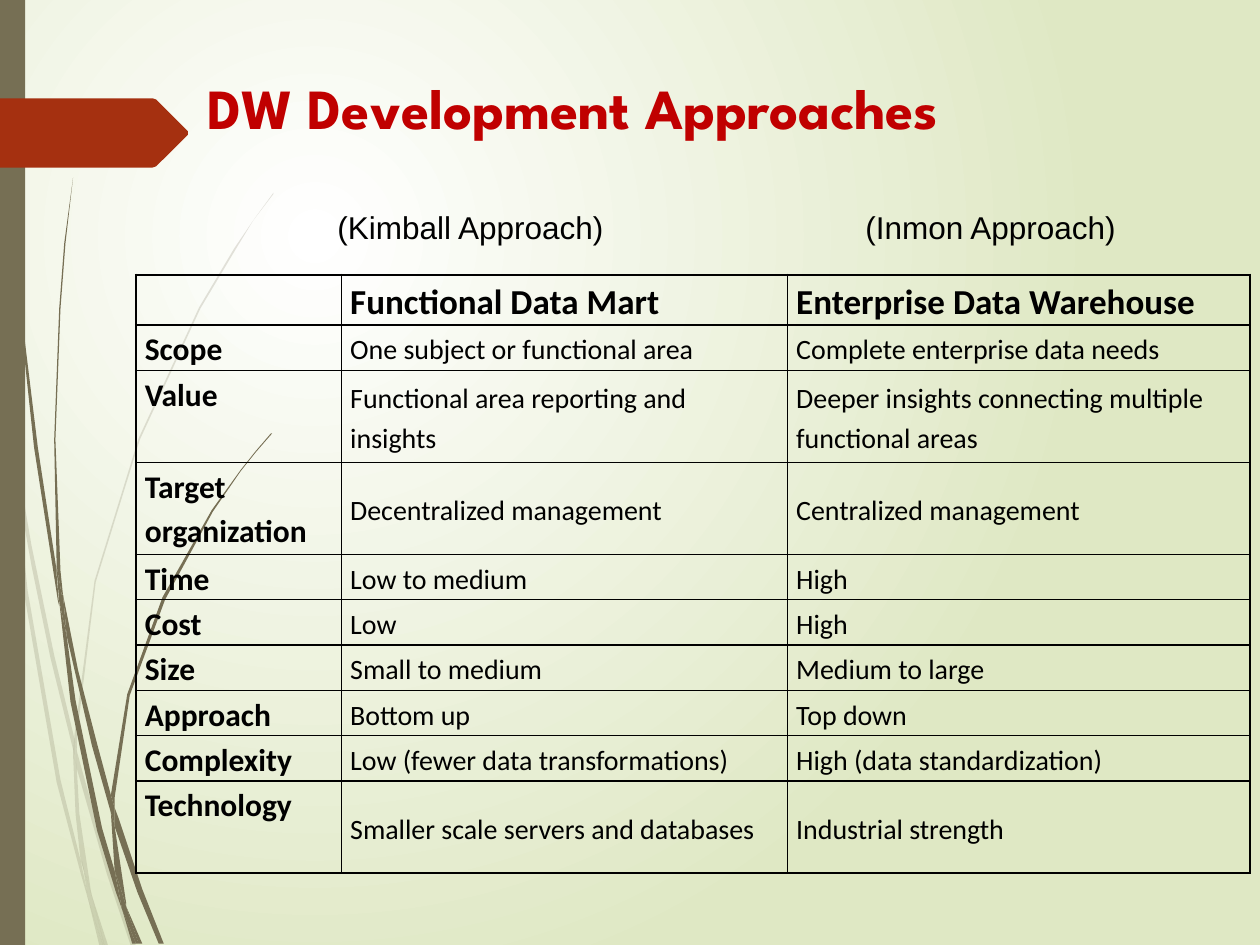
"""Build the slide comparing two data warehouse development approaches."""
from lxml import etree
from pptx import Presentation
from pptx.dml.color import RGBColor
from pptx.enum.shapes import MSO_SHAPE
from pptx.enum.text import MSO_ANCHOR, PP_ALIGN
from pptx.oxml.ns import qn
from pptx.util import Pt

PX = 9144
RECT = MSO_SHAPE.RECTANGLE
MIDDLE, TOP = MSO_ANCHOR.MIDDLE, MSO_ANCHOR.TOP
LEFT = PP_ALIGN.LEFT
WHITE = RGBColor(0xFF, 0xFF, 0xFF)
PALE_GREEN = RGBColor(0xDF, 0xE8, 0xC4)
OLIVE = RGBColor(0x76, 0x6F, 0x54)
RUST = RGBColor(0xA5, 0x30, 0x10)
RED = RGBColor(0xC0, 0x00, 0x00)
BLACK = RGBColor(0x00, 0x00, 0x00)

FAINT_BLADES = [
    [(8, 350), (6, 322), (0, 282), (0, 299), (7, 344)],
    [(40, 522), (59, 599), (59, 586), (43, 520), (25, 433), (10, 345), (12, 376), (25, 449)],
    [(64, 607), (61, 596), (61, 610), (85, 694), (104, 751), (108, 751), (88, 692)],
    [(83, 751), (86, 751), (73, 711)],
    [(64, 683), (48, 619), (22, 469), (12, 376), (8, 350), (19, 470), (45, 621),
     (64, 693), (70, 714), (69, 707)],
    [(58, 599), (60, 646), (64, 683), (67, 692), (73, 711), (72, 706), (63, 646),
     (61, 610), (61, 608)],
    [(61, 584), (76, 462), (111, 349), (159, 245), (187, 198), (201, 175), (217, 154),
     (217, 153), (201, 175), (186, 197), (158, 244), (110, 348), (75, 461), (59, 584),
     (59, 586), (61, 596)],
    [(70, 714), (79, 751), (82, 751)],
    [(61, 608), (61, 610), (61, 596), (59, 586), (58, 599)],
    [(67, 692), (65, 683), (69, 707), (70, 714), (82, 751), (83, 751), (73, 711)],
]
DARK_BLADES = [
    [(5, 110), (14, 233), (27, 355), (46, 477), (47, 481), (45, 457), (45, 453),
     (30, 355), (15, 232), (6, 109), (4, 48), (3, 0), (2, 0), (3, 48)],
    [(73, 592), (88, 645), (88, 633), (88, 631), (77, 590), (62, 532), (50, 472), (53, 505)],
    [(94, 649), (91, 641), (91, 656), (109, 708), (126, 749), (130, 749), (113, 706)],
    [(91, 691), (81, 657), (60, 556), (53, 505), (47, 477), (56, 557), (77, 659),
     (92, 708), (97, 722), (96, 717)],
    [(50, 472), (48, 453), (44, 349), (48, 245), (52, 193), (58, 141), (51, 193),
     (47, 245), (43, 349), (45, 449), (49, 472)],
    [(110, 749), (113, 749), (100, 719)],
    [(47, 477), (53, 505), (50, 472), (49, 472), (45, 449), (45, 453)],
    [(91, 633), (103, 552), (131, 476), (169, 406), (191, 374), (203, 359), (216, 344),
     (215, 344), (203, 358), (191, 373), (168, 405), (129, 474), (101, 551), (88, 631),
     (91, 641)],
    [(97, 722), (105, 749), (108, 749)],
    [(88, 645), (91, 691), (96, 706), (100, 719), (100, 716), (91, 656), (90, 651)],
    [(88, 645), (90, 651), (91, 656), (91, 641), (88, 631), (88, 633)],
    [(96, 706), (91, 691), (96, 717), (97, 722), (108, 749), (110, 749), (100, 719)],
]
TAG = [(0, 78), (121, 78), (124, 79), (149, 104), (149, 107), (124, 132), (121, 133), (0, 133)]

ROWS = [
    (40, "", "Functional Data Mart", "Enterprise Data Warehouse"),
    (36, "Scope", "One subject or functional area", "Complete enterprise data needs"),
    (73, "Value", "Functional area reporting and insights",
     "Deeper insights connecting multiple functional areas"),
    (73, "Target organization", "Decentralized management", "Centralized management"),
    (36, "Time", "Low to medium", "High"),
    (36, "Cost", "Low", "High"),
    (36, "Size", "Small to medium", "Medium to large"),
    (36, "Approach", "Bottom up", "Top down"),
    (36, "Complexity", "Low (fewer data transformations)", "High (data standardization)"),
    (73, "Technology", "Smaller scale servers and databases", "Industrial strength"),
]
COL_WIDTHS = [163, 354, 367]


def style_text(p, font, size, color, bold):
    p.alignment = LEFT
    for r in p.runs:
        r.font.name = font
        r.font.size = Pt(size)
        r.font.color.rgb = color
        r.font.bold = bold


def add_outline(slide, points, color):
    builder = slide.shapes.build_freeform(*points[0], scale=PX)
    builder.add_line_segments(points[1:], close=True)
    sp = builder.convert_to_shape()
    sp.shadow.inherit = False
    sp.fill.solid()
    sp.fill.fore_color.rgb = color
    sp.line.fill.background()
    return sp


prs = Presentation()
prs.slide_width, prs.slide_height = 1000 * PX, 750 * PX
slide = prs.slides.add_slide(prs.slide_layouts[5])

bg = slide.background.fill
bg.gradient()
for stop, color in zip(bg.gradient_stops, (WHITE, PALE_GREEN)):
    stop.color.rgb = color
grad = next(slide.element.iter(qn("a:gradFill")))
grad.remove(grad.find(qn("a:lin")))
circle = etree.SubElement(grad, qn("a:path"), path="circle")
etree.SubElement(circle, qn("a:fillToRect"), l="50000", t="50000", r="100000", b="100000")

for points in FAINT_BLADES:
    sp = add_outline(slide, points, OLIVE)
    clr = sp.fill._xPr.find(qn("a:solidFill"))[0]
    etree.SubElement(clr, qn("a:alpha"), val="20000")
for points in DARK_BLADES:
    add_outline(slide, points, OLIVE)

bar = slide.shapes.add_shape(RECT, 0, 0, 20 * PX, 750 * PX)
bar.shadow.inherit = False
bar.fill.solid()
bar.fill.fore_color.rgb = OLIVE
bar.line.fill.background()
add_outline(slide, TAG, RUST)

title = slide.shapes.title
title.left, title.top, title.width, title.height = 155 * PX, 41 * PX, 741 * PX, 88 * PX
title.text_frame.text = "DW Development Approaches"
title.text_frame.vertical_anchor = MIDDLE
style_text(title.text_frame.paragraphs[0], "League Spartan", 32.4, RED, True)

box = slide.shapes.add_textbox(258 * PX, 160 * PX, 667 * PX, 40 * PX)
tf = box.text_frame
tf.word_wrap = True
p = tf.paragraphs[0]
p.text = "(Kimball Approach)\t(Inmon Approach)"
tabs = etree.SubElement(p._p.get_or_add_pPr(), qn("a:tabLst"))
etree.SubElement(tabs, qn("a:tab"), pos=str(419 * PX), algn="l")
style_text(p, "Arial", 18, BLACK, False)

frame = slide.shapes.add_table(
    len(ROWS), 3, 108 * PX, 218 * PX, sum(COL_WIDTHS) * PX, sum(row[0] for row in ROWS) * PX)
table = frame.table
table.first_row = table.horz_banding = False
for column, width in zip(table.columns, COL_WIDTHS):
    column.width = width * PX

last_row, last_col = len(ROWS) - 1, len(COL_WIDTHS) - 1
for i, (height, *texts) in enumerate(ROWS):
    table.rows[i].height = height * PX
    for j, text in enumerate(texts):
        cell = table.cell(i, j)
        cell.margin_left = cell.margin_right = 7 * PX
        cell.margin_top = cell.margin_bottom = 0
        cell.vertical_anchor = MIDDLE if i and j else TOP
        cell.text_frame.text = text
        p = cell.text_frame.paragraphs[0]
        p.line_spacing = 1.15
        size = 20 if i == 0 else 18 if j == 0 else 16
        style_text(p, "Calibri", size, BLACK, i == 0 or j == 0)
        tc_pr = cell._tc.get_or_add_tcPr()
        edges = {"lnL": j == 0, "lnR": j == last_col, "lnT": i == 0, "lnB": i == last_row}
        for tag, outer in edges.items():
            ln = etree.SubElement(tc_pr, qn(f"a:{tag}"), w=str(Pt(1.5 if outer else 1)))
            fill = etree.SubElement(ln, qn("a:solidFill"))
            etree.SubElement(fill, qn("a:srgbClr"), val=str(BLACK))
        cell.fill.background()

prs.save("out.pptx")
